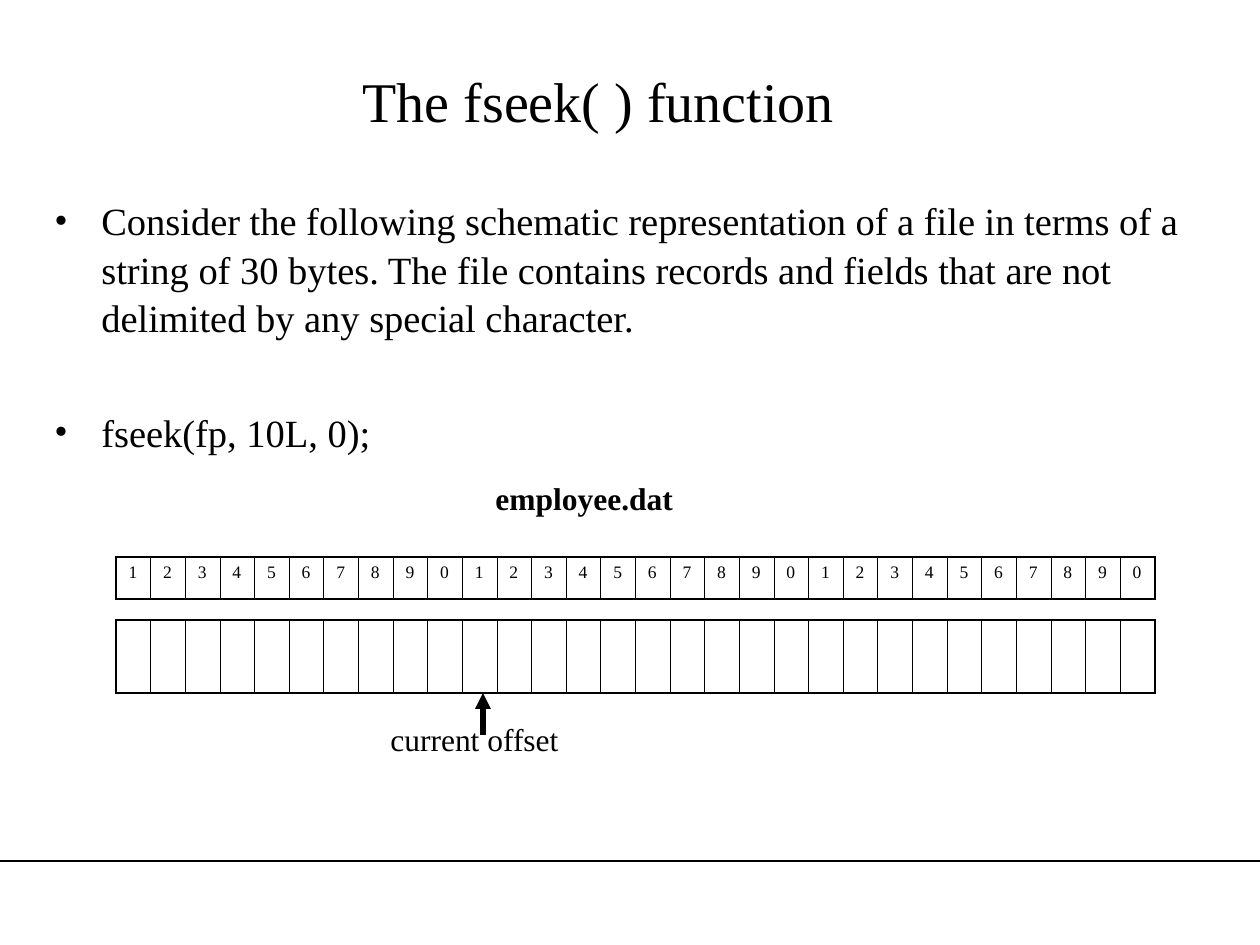
from itertools import pairwise

from lxml import etree
from pptx import Presentation
from pptx import util as u
from pptx.dml.color import RGBColor
from pptx.enum import shapes, text
from pptx.oxml import ns

BLACK = "000000"
FONT = "Times New Roman"
BYTES = 30


def px(length):
    """Turn px into EMU at 126 px to the inch."""
    return u.Emu(round(length * 914400 / 126))


def color(value):
    """Turn a hex string into a colour."""
    return RGBColor.from_string(value)


def add_xml(parent, tag, **attributes):
    """Append a drawing element with the given attributes."""
    return etree.SubElement(parent, ns.qn(tag), attributes)


def write(para, content, size, bold=False, align=None, before=0, spacing=None, bullet=None):
    """Write and format one paragraph."""
    para.alignment = align
    para.space_before = u.Pt(before)
    para.line_spacing = spacing
    if bullet:
        props = para._p.get_or_add_pPr()
        props.set("marL", str(px(47)))
        props.set("indent", str(-px(47)))
        add_xml(props, "a:buFont", typeface=FONT)
        add_xml(props, "a:buChar", char=bullet)
    span = para.add_run()
    span.text = content
    span.font.name = FONT
    span.font.size = u.Pt(size)
    span.font.bold = bold
    span.font.color.rgb = color(BLACK)


def add_line(page, start, end, width, arrow=False):
    """Draw a straight line, with an arrowhead at its end if asked."""
    line = page.shapes.add_connector(
        shapes.MSO_CONNECTOR.STRAIGHT, *map(px, start), *map(px, end))
    line.line.color.rgb = color(BLACK)
    line.line.width = u.Pt(width)
    if arrow:
        add_xml(line.line._get_or_add_ln(), "a:tailEnd", type="triangle")
    add_xml(line._element.spPr, "a:effectLst")


def add_title(page, box, content):
    """Place the slide title."""
    title = page.shapes.title
    title.left, title.top, title.width, title.height = map(px, box)
    frame = title.text_frame
    frame.vertical_anchor = text.MSO_ANCHOR.MIDDLE
    write(frame.paragraphs[0], content, 32, align=text.PP_ALIGN.CENTER)


def add_text(page, box):
    """Add a wrapping text box and return its frame."""
    frame = page.shapes.add_textbox(*map(px, box)).text_frame
    frame.word_wrap = True
    return frame


def add_bullets(page, box, items):
    """Add bulleted paragraphs with a wide gap between them."""
    frame = add_text(page, box)
    for index, item in enumerate(items):
        para = frame.add_paragraph() if index else frame.paragraphs[0]
        write(para, item, 22, before=37.5 if index else 0, spacing=1.05, bullet="•")


def add_label(page, box, content, bold=False):
    """Add a one-line diagram label."""
    write(add_text(page, box).paragraphs[0], content, 18, bold=bold)


def set_borders(cell, **widths):
    """Draw the cell sides L, R, T and B at the given point widths."""
    props = cell._tc.get_or_add_tcPr()
    for side, width in widths.items():
        line = add_xml(props, f"a:ln{side}", w=str(u.Pt(width)))
        add_xml(add_xml(line, "a:solidFill"), "a:srgbClr", val=BLACK)


def add_strip(page, box, labels=()):
    """Add a one-row table with a cell for each byte."""
    table = page.shapes.add_table(1, BYTES, *map(px, box)).table
    table.first_row = table.horz_banding = False
    table.rows[0].height = px(box[3])
    edges = [px(box[2] * index / BYTES) for index in range(BYTES + 1)]
    for column, (left, right) in zip(table.columns, pairwise(edges)):
        column.width = right - left
    outer, inner = 1.08, 0.45
    for index in range(BYTES):
        cell = table.cell(0, index)
        set_borders(cell, L=inner if index else outer,
                    R=inner if index < BYTES - 1 else outer, T=outer, B=outer)
        cell.fill.background()
    for index, label in enumerate(labels):
        write(table.cell(0, index).text_frame.paragraphs[0], label, 10)


def add_file_diagram(page, box):
    """Draw the numbered bytes of the file and its current offset."""
    left, top, width, height = box
    add_strip(page, (left, top + 147, width, 73))
    add_line(page, (left + 367, top + 262), (left + 367, top + 220), 3, arrow=True)
    add_label(page, (left + 262, top + 241, 220, height - 241), "current offset")
    add_label(page, (left + 367, top, 220, 50), "employee.dat", bold=True)
    digits = [str(index % 10) for index in range(1, BYTES + 1)]
    add_strip(page, (left, top + 84, width, 42), digits)


def main():
    """Build and save the slide."""
    deck = Presentation()
    deck.slide_width, deck.slide_height = px(1260), px(945)
    page = deck.slides.add_slide(deck.slide_layouts.get_by_name("Title Only"))
    add_line(page, (0, 861), (1260, 861), 0.75)
    add_title(page, (63, 32, 1071, 136), "The fseek( ) function")
    add_bullets(page, (42, 189, 1166, 273), [
        "Consider the following schematic representation of a file in terms of a "
        "string of 30 bytes. The file contains records and fields that are not "
        "delimited by any special character.",
        "fseek(fp, 10L, 0);",
    ])
    add_file_diagram(page, (116, 473, 1040, 291))
    deck.save("out.pptx")


if __name__ == "__main__":
    main()
